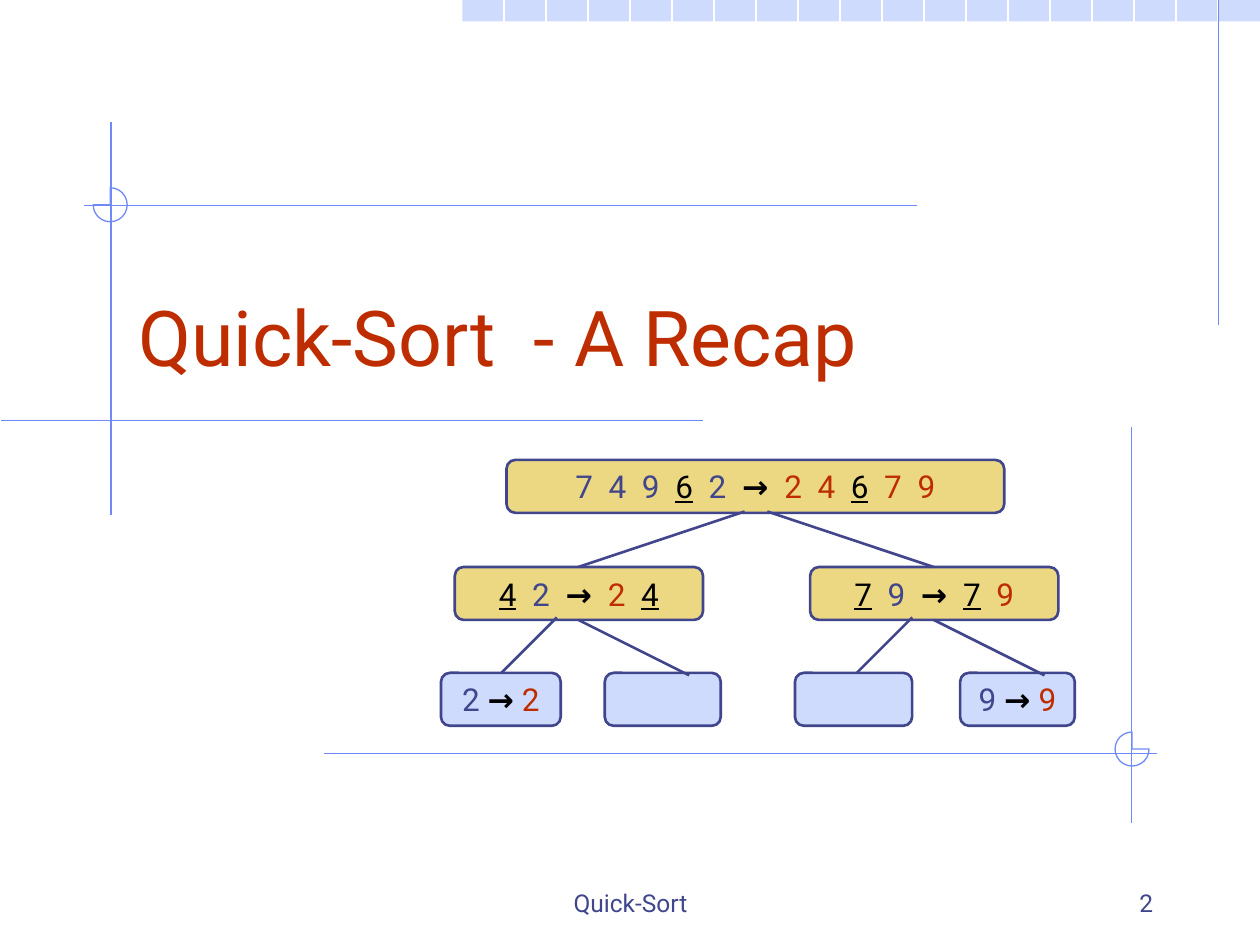
import pptx
import pptx.util
import pptx.dml.color
import pptx.enum.shapes
import pptx.enum.text
import pptx.oxml

Inches, Pt = pptx.util.Inches, pptx.util.Pt
SHAPE = pptx.enum.shapes.MSO_SHAPE
ALIGN = pptx.enum.text.PP_ALIGN
ANCHOR = pptx.enum.text.MSO_ANCHOR

INK, RED, BLACK, WHITE = "40458C", "BE2D00", "000000", "FFFFFF"
GOLD, PALE, BLUE = "ECD882", "CFDBFD", "6F89F7"

# Run styles: colour, then font settings
STYLES = {
    "input": (INK, {}),
    "output": (RED, {}),
    "pivot": (BLACK, {"underline": True}),
    "arrow": (BLACK, {"bold": True}),
}

# Texts: box, size, alignment, runs
TEXTS = [
    ((3.42, 6.83, 3.17, 0.5), 14, ALIGN.CENTER, [("Quick-Sort", "input")]),
    ((7.17, 6.83, 2.08, 0.5), 14, ALIGN.RIGHT, [("2", "input")]),
    ((1, 1.83, 8.5, 1.25), 44, ALIGN.LEFT, [("Quick-Sort  - A Recap", "output")]),
]

# Tree levels: top, fill, nodes as (left, width, runs)
NODE_H = 0.42
LEVELS = [
    (3.65, GOLD, [
        (4.02, 3.95, [("7  4  9  ", "input"), ("6", "pivot"), ("  2  ", "input"),
                      ("→  ", "arrow"), ("2  4  ", "output"), ("6", "pivot"),
                      ("  7  9", "output")]),
    ]),
    (4.5, GOLD, [
        (3.61, 1.97, [("4", "pivot"), ("  2  ", "input"), ("→  ", "arrow"),
                      ("2  ", "output"), ("4", "pivot")]),
        (6.43, 1.97, [("7", "pivot"), ("  9  ", "input"), ("→  ", "arrow"),
                      ("7", "pivot"), ("  9", "output")]),
    ]),
    (5.34, PALE, [
        (3.5, 0.95, [("2 ", "input"), ("→ ", "arrow"), ("2", "output")]),
        (4.8, 0.92, []),
        (6.31, 0.93, []),
        (7.62, 0.91, [("9 ", "input"), ("→ ", "arrow"), ("9", "output")]),
    ]),
]
ROOT_EDGES = [(4.59, 4.5, 5.91, 4.06), (7.41, 4.5, 6.09, 4.06)]
SUBTREE_EDGES = [(3.98, 5.34, 4.42, 4.9), (4.59, 4.92, 5.47, 5.36)]
SUBTREE_STEP = 2.82  # left subtree to right subtree

# Background ornament
BAND = (3.67, 0, 6.33, 0.17)
RULES = [
    (9.67, 0, 9.67, 2.58),
    (0.88, 0.97, 0.88, 4.09),
    (5.58, 3.34, 0.01, 3.34),
    (7.28, 1.63, 0.67, 1.63),
    (2.57, 5.98, 9.18, 5.98),
    (8.98, 3.39, 8.98, 6.53),
]
# Three-quarter circles: left, top, start and end angle in degrees
DIAL = 0.27
DIALS = [(0.74, 1.49, 270, 180), (8.85, 5.81, 0, 270)]

prs = pptx.Presentation()
prs.slide_width, prs.slide_height = Inches(10), Inches(7.5)
s = prs.slides.add_slide(prs.slide_layouts[6])


def rgb(color):
    return pptx.dml.color.RGBColor.from_string(color)


def add_line(x1, y1, x2, y2, color, width):
    sp = s.shapes.add_connector(pptx.enum.shapes.MSO_CONNECTOR.STRAIGHT,
                                *map(Inches, (x1, y1, x2, y2)))
    sp.line.color.rgb, sp.line.width = rgb(color), Pt(width)
    effects = '<a:effectLst xmlns:a="http://schemas.openxmlformats.org/drawingml/2006/main"/>'
    sp._element.spPr.append(pptx.oxml.parse_xml(effects))


def add_shape(kind, box, fill=None, line=None, width=0.75):
    sp = s.shapes.add_shape(kind, *map(Inches, box))
    sp.shadow.inherit = False
    for part, color in ((sp.fill, fill), (sp.line.fill, line)):
        if color:
            part.solid()
            part.fore_color.rgb = rgb(color)
        else:
            part.background()
    if line:
        sp.line.width = Pt(width)
    return sp


def write(sp, runs, size, align, anchor):
    tf = sp.text_frame
    tf.word_wrap, tf.vertical_anchor = True, anchor
    p = tf.paragraphs[0]
    p.alignment = align
    for text, style in runs:
        color, extra = STYLES[style]
        r = p.add_run()
        r.text = text
        r.font.color.rgb = rgb(color)
        for name, value in {"name": "Roboto", "size": Pt(size), **extra}.items():
            setattr(r.font, name, value)


# Band cut into thirds of an inch
add_shape(SHAPE.RECTANGLE, BAND, PALE)
for i in range(12, 30):
    add_line(i / 3, 0, i / 3, 7.5, WHITE, 0.75)

# Rules and dials
for rule in RULES:
    add_line(*rule, BLUE, 0.75)
for left, top, start, end in DIALS:
    sp = add_shape(SHAPE.PIE, (left, top, DIAL, DIAL), line=BLUE)
    for i, angle in enumerate((start, end)):
        sp.adjustments[i] = angle * 0.6  # 60000ths of a degree

# Title and footer
for box, size, align, runs in TEXTS:
    write(s.shapes.add_textbox(*map(Inches, box)), runs, size, align, ANCHOR.BOTTOM)

# Tree nodes
for top, fill, nodes in LEVELS:
    for left, width, runs in nodes:
        sp = add_shape(SHAPE.ROUNDED_RECTANGLE, (left, top, width, NODE_H), fill, INK, 1.5)
        if runs:
            write(sp, runs, 18, ALIGN.CENTER, ANCHOR.MIDDLE)

# Tree edges
for edge in ROOT_EDGES:
    add_line(*edge, INK, 1.5)
for x1, y1, x2, y2 in SUBTREE_EDGES:
    for dx in (0, SUBTREE_STEP):
        add_line(x1 + dx, y1, x2 + dx, y2, INK, 1.5)

prs.save("out.pptx")
